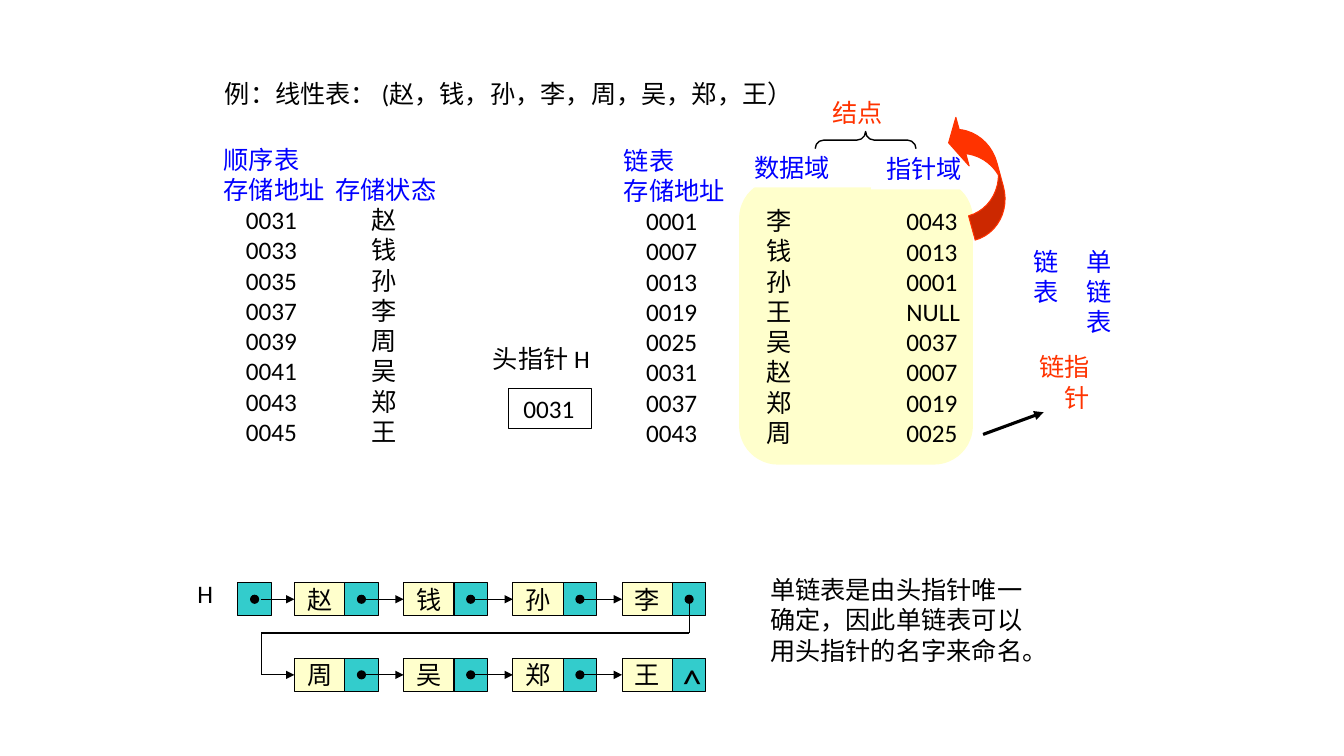
import pptx
import pptx.dml.color
import pptx.enum.shapes
import pptx.enum.text
import pptx.oxml
import pptx.oxml.ns
import pptx.util

Inches = pptx.util.Inches
RGBColor = pptx.dml.color.RGBColor
SHAPE = pptx.enum.shapes.MSO_SHAPE
ALIGN = pptx.enum.text.PP_ALIGN
ANCHOR = pptx.enum.text.MSO_ANCHOR
AUTO_SIZE = pptx.enum.text.MSO_AUTO_SIZE

BLACK = RGBColor(0x00, 0x00, 0x00)
WHITE = RGBColor(0xFF, 0xFF, 0xFF)
BLUE = RGBColor(0x00, 0x00, 0xFF)
RED = RGBColor(0xFF, 0x33, 0x00)
CREAM = RGBColor(0xFF, 0xFF, 0xCC)
TEAL = RGBColor(0x33, 0xCC, 0xCC)

LATIN = "Calibri"
CHINESE = "Noto Sans CJK SC"
NOTE = "Noto Sans CJK JP"

NAMES = "赵钱孙李周吴郑王"
LINKED_ROWS = [
    ("0001", "李", "0043"),
    ("0007", "钱", "0013"),
    ("0013", "孙", "0001"),
    ("0019", "王", "NULL"),
    ("0025", "吴", "0037"),
    ("0031", "赵", "0007"),
    ("0037", "郑", "0019"),
    ("0043", "周", "0025"),
]

NODE_LEFT, NODE_PITCH, NODES_PER_ROW = 2.92, 3.25 / 3, 4
ROW_TOP, ROW_PITCH = 5.78, 0.75
DATA_WIDTH, CELL, DOT = 0.5, 0.33, 0.08
TURN_X, TURN_Y = 2.59, 6.28


def add_xml(parent, tag, **attributes):
    child = pptx.oxml.parse_xml(f"<a:{tag} {pptx.oxml.ns.nsdecls('a')}/>")
    for name, value in attributes.items():
        child.set(name, str(value))
    parent.append(child)
    return child


def write(frame, lines, color=BLACK, font=LATIN, size=18, align=ALIGN.LEFT,
          spacing=None, tabs=()):
    """Append one paragraph per line, using the frame's empty first one."""
    for line in lines:
        first = frame.paragraphs[0]
        paragraph = frame.add_paragraph() if first.runs else first
        if tabs:
            tab_list = add_xml(paragraph._p.get_or_add_pPr(), "tabLst")
            for position in tabs:
                add_xml(tab_list, "tab", pos=int(Inches(position)), algn="l")
        paragraph.alignment = align
        if spacing:
            paragraph.line_spacing = spacing
        run = paragraph.add_run()
        run.text = line
        run.font.size = pptx.util.Pt(size)
        run.font.name = font
        run.font.color.rgb = color
        if font != LATIN:
            add_xml(run._r.get_or_add_rPr(), "ea", typeface=font)


class Board:
    """Holds the slide and the shapes being drawn on, with the shared style."""

    def __init__(self, slide):
        self.slide = slide
        self.shapes = slide.shapes

    def start_group(self):
        self.shapes = self.slide.shapes.add_group_shape().shapes

    def title(self, text, left, top, width, height):
        title = self.slide.shapes.title
        title.left, title.top = Inches(left), Inches(top)
        title.width, title.height = Inches(width), Inches(height)
        title.text_frame.vertical_anchor = ANCHOR.TOP
        title.text_frame.auto_size = AUTO_SIZE.NONE
        write(title.text_frame, [text], spacing=0.9)

    def text(self, lines, left, top, width, height, indent=0.1, **style):
        box = self.shapes.add_textbox(
            Inches(left), Inches(top), Inches(width), Inches(height))
        frame = box.text_frame
        frame.word_wrap = True
        frame.auto_size = AUTO_SIZE.SHAPE_TO_FIT_TEXT
        frame.margin_left = Inches(indent)
        write(frame, lines, **style)
        return frame

    def shape(self, kind, left, top, width, height, fill=None, line=None,
              weight=0.75, adjustments=(), rotation=0):
        shape = self.shapes.add_shape(
            kind, Inches(left), Inches(top), Inches(width), Inches(height))
        shape.shadow.inherit = False
        shape.rotation = rotation
        for index, value in enumerate(adjustments):
            shape.adjustments[index] = value
        if fill is None:
            shape.fill.background()
        else:
            shape.fill.solid()
            shape.fill.fore_color.rgb = fill
        if line is None:
            shape.line.fill.background()
        else:
            shape.line.color.rgb = line
            shape.line.width = pptx.util.Pt(weight)
        return shape

    def label(self, text, left, top, width, height, fill=None, line=None,
              indent=0.1, anchor=ANCHOR.TOP, **style):
        """Draw a rectangle with one line of text."""
        shape = self.shape(SHAPE.RECTANGLE, left, top, width, height, fill, line)
        frame = shape.text_frame
        frame.word_wrap = True
        frame.margin_left = Inches(indent)
        frame.vertical_anchor = anchor
        write(frame, [text], **style)

    def list_cell(self, text, left, top, width, fill, **style):
        """Draw a bordered cell with its text in the middle."""
        self.label(text, left, top, width, CELL, fill, BLACK,
                   anchor=ANCHOR.MIDDLE, align=ALIGN.CENTER, **style)

    def line(self, start, end, weight=0.75, arrow=False):
        connector = self.shapes.add_connector(
            pptx.enum.shapes.MSO_CONNECTOR.STRAIGHT,
            *(Inches(value) for value in start + end))
        connector.line.color.rgb = BLACK
        connector.line.width = pptx.util.Pt(weight)
        if arrow:
            add_xml(connector.line._get_or_add_ln(), "tailEnd", type="triangle")
        add_xml(connector._element.spPr, "effectLst")

    def pointer_cell(self, left, top):
        """Draw a square cell with a dot at its centre."""
        self.shape(SHAPE.RECTANGLE, left, top, CELL, CELL, TEAL, BLACK)
        offset = (CELL - DOT) / 2
        self.shape(SHAPE.OVAL, left + offset, top + offset, DOT, DOT, BLACK, BLACK)


def draw_storage_tables(board):
    frame = board.text(["顺序表", "存储地址\t存储状态"], 2.12, 1.38, 2.45, 3.13,
                       color=BLUE, tabs=(1.11,))
    write(frame, [f"\t{31 + 2 * index:04d}\t{name}" for index, name in enumerate(NAMES)],
          tabs=(0.22, 1.47))
    board.shape(SHAPE.ROUNDED_RECTANGLE, 7.33, 1.78, 2.32, 2.83, CREAM,
                adjustments=(0.167,))
    frame = board.text(["链表", "存储地址"], 6.09, 1.39, 1.89, 3.13, color=BLUE)
    write(frame, [f"\t{address}\t{name}" for address, name, _ in LINKED_ROWS],
          tabs=(0.22, 1.41))
    board.text([pointer for _, _, pointer in LINKED_ROWS], 8.72, 1.99, 0.97, 2.52,
               indent=0.27)


def draw_annotations(board):
    board.text(["头指针 H"], 4.79, 3.36, 1.3, 0.4)
    board.label("数据域", 7.38, 1.52, 1.38, 0.34, WHITE, color=BLUE, spacing=0.8)
    board.label("0031", 5.04, 3.85, 0.83, 0.4, line=BLACK, indent=0.15)
    board.label("指针域", 8.64, 1.58, 1.46, 0.3, WHITE, indent=0.15, color=BLUE,
                spacing=0.6)
    board.shape(SHAPE.LEFT_BRACE, 8.5, 0.89, 0.17, 1, line=BLACK, weight=1,
                adjustments=(0.5, 0.5), rotation=90)
    board.text(["结点"], 8.16, 0.92, 0.87, 0.4, color=RED, font=CHINESE)
    board.text("链", 10.21, 3.44, 0.45, 0.4, color=RED, font=CHINESE)
    board.text("指针", 10.46, 3.44, 0.45, 0.71, color=RED, font=CHINESE)
    board.line((9.75, 4.31), (10.35, 4.09), weight=2.25, arrow=True)
    board.text("链表", 10.15, 2.39, 0.54, 0.71, color=BLUE, font=CHINESE)
    board.text("单链表", 10.68, 2.39, 0.54, 1.01, color=BLUE, font=CHINESE)
    arrow = board.shape(SHAPE.CURVED_LEFT_ARROW, 9.5, 1.1, 0.41, 1.25, RED, RED,
                        adjustments=(0.609, 1.219, 0.333), rotation=344.7)
    arrow._element.spPr.xfrm.set("flipV", "1")
    board.text(["单链表是由头指针唯一", "确定，因此单链表可以", "用头指针的名字来命名。"],
               7.54, 5.65, 2.98, 1.01, font=NOTE)


def draw_linked_list(board):
    board.start_group()
    board.text(["H"], 1.86, 5.69, 0.42, 0.4)
    board.pointer_cell(2.36, ROW_TOP)
    for index, name in enumerate(NAMES):
        row, column = divmod(index, NODES_PER_ROW)
        left = NODE_LEFT + column * NODE_PITCH
        top = ROW_TOP + row * ROW_PITCH
        middle = top + CELL / 2
        pointer_left = left + DATA_WIDTH
        source = left - NODE_PITCH + DATA_WIDTH + CELL / 2 if column else TURN_X
        board.list_cell(name, left, top, DATA_WIDTH, CREAM)
        if index < len(NAMES) - 1:
            board.pointer_cell(pointer_left, top)
        else:
            board.list_cell("^", pointer_left, top, CELL, TEAL, size=28, spacing=1.3)
        board.line((source, middle), (left, middle), arrow=True)
    last_x = NODE_LEFT + (NODES_PER_ROW - 1) * NODE_PITCH + DATA_WIDTH + CELL / 2
    first_y = ROW_TOP + CELL / 2
    turn = [(last_x, first_y), (last_x, TURN_Y), (TURN_X, TURN_Y),
            (TURN_X, first_y + ROW_PITCH)]
    for start, end in zip(turn, turn[1:]):
        board.line(start, end)


def main():
    presentation = pptx.Presentation()
    presentation.slide_width = Inches(13.33)
    presentation.slide_height = Inches(7.5)
    board = Board(presentation.slides.add_slide(presentation.slide_layouts[5]))
    board.title("例：线性表： (赵，钱，孙，李，周，吴，郑，王）", 2.13, 0.76, 8.33, 0.37)
    draw_storage_tables(board)
    draw_annotations(board)
    draw_linked_list(board)
    presentation.save("out.pptx")


if __name__ == "__main__":
    main()
